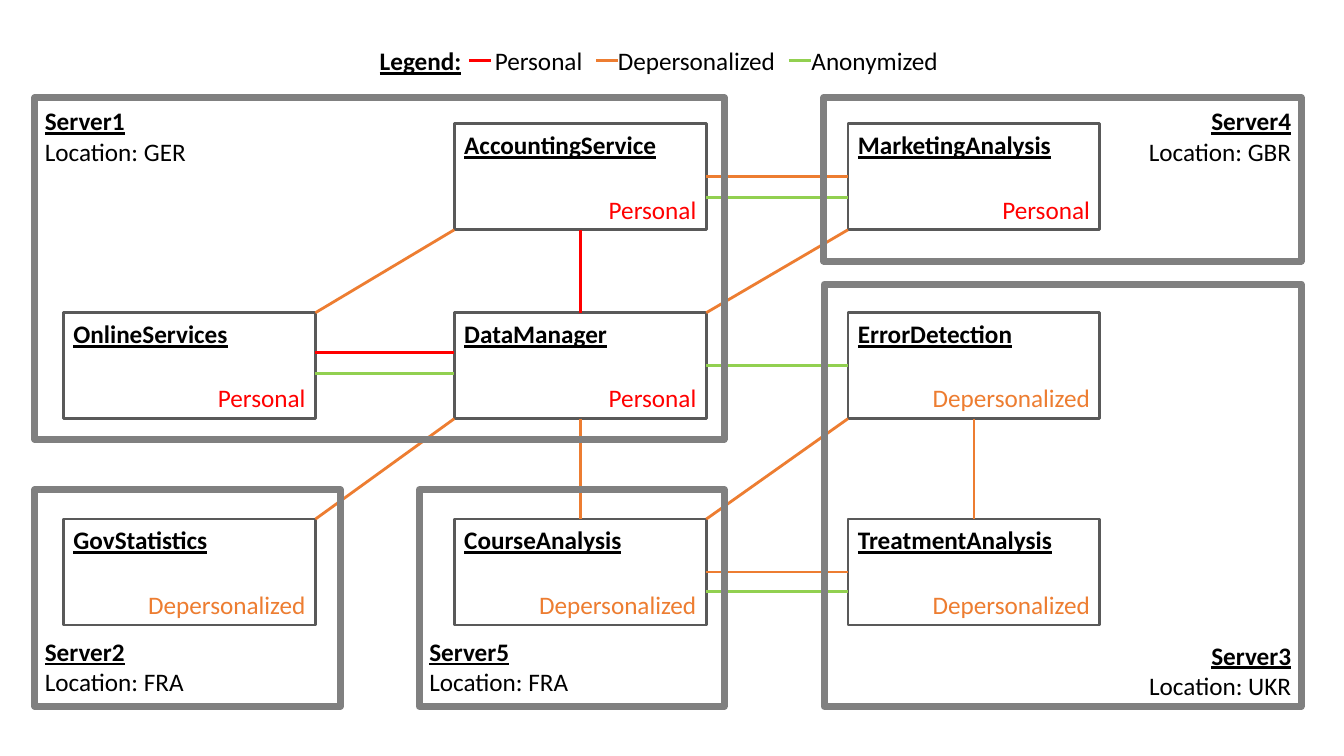
from lxml import etree
from pptx import Presentation
from pptx.dml.color import RGBColor
from pptx.enum.shapes import MSO_CONNECTOR, MSO_SHAPE
from pptx.enum.text import PP_ALIGN
from pptx.oxml.ns import qn
from pptx.util import Cm, Pt

LEFT, RIGHT = PP_ALIGN.LEFT, PP_ALIGN.RIGHT
STRAIGHT, RECTANGLE = MSO_CONNECTOR.STRAIGHT, MSO_SHAPE.RECTANGLE
TOP_SIDE, LEFT_SIDE, BOTTOM_SIDE, RIGHT_SIDE = range(4)
BLACK, SERVICE_GREY, SERVER_GREY = "000000", "595959", "808080"
DATA_COLORS = {"Personal": "FF0000", "Depersonalized": "ED7D31", "Anonymized": "92D050"}

prs = Presentation()
prs.slide_width, prs.slide_height = Cm(33.87), Cm(19.05)
shapes = prs.slides.add_slide(prs.slide_layouts[6]).shapes


def paint(target, color):
    """Give a font or a fill a solid colour."""
    if hasattr(target, "solid"):
        target.solid()
        target.fore_color.rgb = RGBColor.from_string(color)
    else:
        target.color.rgb = RGBColor.from_string(color)


def write(x, y, width, height, lines, align=LEFT, tabs=()):
    """Add a text box; each line is (text, colour, is heading)."""
    frame = shapes.add_textbox(Cm(x), Cm(y), Cm(width), Cm(height)).text_frame
    frame.word_wrap = True
    for number, (text, color, heading) in enumerate(lines):
        paragraph = frame.add_paragraph() if number else frame.paragraphs[0]
        paragraph.text = text
        paragraph.alignment = align
        if tabs:
            stops = etree.SubElement(paragraph._p.get_or_add_pPr(), qn("a:tabLst"))
            for stop in tabs:
                etree.SubElement(stops, qn("a:tab"), pos=str(Cm(stop)), algn="l")
        font = paragraph.font
        font.name, font.size = "Calibri", Pt(18)
        font.bold = font.underline = heading
        paint(font, color)


# Services on a grid: name, column, row, data class
COLUMNS, ROWS = (1.6, 11.45, 21.37), (3.12, 7.88, 13.08)
SERVICE_W, SERVICE_H, LINE_H = 6.35, 2.67, 1.03
services, corners = {}, {}
for name, column, row, data in [
    ("AccountingService", 1, 0, "Personal"),
    ("MarketingAnalysis", 2, 0, "Personal"),
    ("OnlineServices", 0, 1, "Personal"),
    ("DataManager", 1, 1, "Personal"),
    ("ErrorDetection", 2, 1, "Depersonalized"),
    ("GovStatistics", 0, 2, "Depersonalized"),
    ("CourseAnalysis", 1, 2, "Depersonalized"),
    ("TreatmentAnalysis", 2, 2, "Depersonalized"),
]:
    x, y = COLUMNS[column], ROWS[row]
    service = shapes.add_shape(RECTANGLE, Cm(x), Cm(y), Cm(SERVICE_W), Cm(SERVICE_H))
    service.shadow.inherit = False
    service.fill.background()
    paint(service.line.fill, SERVICE_GREY)
    service.line.width = Pt(2)
    services[name], corners[name] = service, (x, y)
    write(x, y + 0.02, SERVICE_W, LINE_H, [(name, BLACK, True)])
    write(x, y + 1.64, SERVICE_W, LINE_H, [(data, DATA_COLORS[data], False)], RIGHT)

# Flows: each entry is (data class, start, end, joined services)
flows = []

# Flows between the middles of facing sides
for data, source, target, start_side, end_side in [
    ("Personal", "AccountingService", "DataManager", BOTTOM_SIDE, TOP_SIDE),
    ("Depersonalized", "DataManager", "CourseAnalysis", BOTTOM_SIDE, TOP_SIDE),
    ("Depersonalized", "ErrorDetection", "TreatmentAnalysis", BOTTOM_SIDE, TOP_SIDE),
    ("Depersonalized", "AccountingService", "MarketingAnalysis", RIGHT_SIDE, LEFT_SIDE),
    ("Anonymized", "DataManager", "ErrorDetection", RIGHT_SIDE, LEFT_SIDE),
    ("Depersonalized", "CourseAnalysis", "TreatmentAnalysis", RIGHT_SIDE, LEFT_SIDE),
]:
    joints = (services[source], start_side, services[target], end_side)
    flows.append((data, (0, 0), (0, 0), joints))

# Further flows between neighbours, at a height of their own
for data, source, target, y in [
    ("Personal", "OnlineServices", "DataManager", 8.89),
    ("Anonymized", "OnlineServices", "DataManager", 9.42),
    ("Anonymized", "AccountingService", "MarketingAnalysis", 4.97),
    ("Anonymized", "CourseAnalysis", "TreatmentAnalysis", 14.9),
]:
    flows.append((data, (corners[source][0] + SERVICE_W, y), (corners[target][0], y), None))

# Diagonal flows from a top right to a bottom left corner
for lower, upper in [
    ("OnlineServices", "AccountingService"),
    ("DataManager", "MarketingAnalysis"),
    ("GovStatistics", "DataManager"),
    ("CourseAnalysis", "ErrorDetection"),
]:
    start = (corners[lower][0] + SERVICE_W, corners[lower][1])
    end = (corners[upper][0], corners[upper][1] + SERVICE_H)
    flows.append(("Depersonalized", start, end, None))

# Legend
LEGEND_Y = 1.53
for data, x in zip(DATA_COLORS, (11.82, 15.02, 19.88)):
    flows.append((data, (x, LEGEND_Y), (x + 0.55, LEGEND_Y), None))
write(9.32, 1.02, 2.64, LINE_H, [("Legend:", BLACK, True)])
write(12.22, 1.02, 12.17, LINE_H, [("\t".join(DATA_COLORS), BLACK, False)], tabs=(3.1, 7.98))

# Draw all flows
for data, start, end, joints in flows:
    flow = shapes.add_connector(STRAIGHT, *(Cm(value) for value in start + end))
    if joints:
        flow.begin_connect(joints[0], joints[1])
        flow.end_connect(joints[2], joints[3])
    paint(flow.line.fill, DATA_COLORS[data])
    flow.line.width = Pt(2)
    etree.SubElement(flow._element.spPr, qn("a:effectLst"))

# Servers: name, location, frame, top of the label, alignment
LABEL_W, LABEL_H = 6.25, 1.8
for name, location, x, y, width, height, label_y, align in [
    ("Server1", "GER", 0.88, 2.46, 17.37, 8.61, 2.54, LEFT),
    ("Server2", "FRA", 0.88, 12.34, 7.7, 5.46, 15.9, LEFT),
    ("Server3", "UKR", 20.77, 7.16, 12.02, 10.64, 16, RIGHT),
    ("Server4", "GBR", 20.76, 2.46, 12.03, 4.12, 2.54, RIGHT),
    ("Server5", "FRA", 10.57, 12.34, 7.68, 5.46, 15.9, LEFT),
]:
    server = shapes.add_shape(RECTANGLE, Cm(x), Cm(y), Cm(width), Cm(height))
    server.shadow.inherit = False
    server.fill.background()
    paint(server.line.fill, SERVER_GREY)
    server.line.width = Pt(5)
    label_x = x if align == LEFT else x + width - LABEL_W
    label = [(name, BLACK, True), (f"Location: {location}", BLACK, False)]
    write(label_x, label_y, LABEL_W, LABEL_H, label, align)

prs.save("out.pptx")
